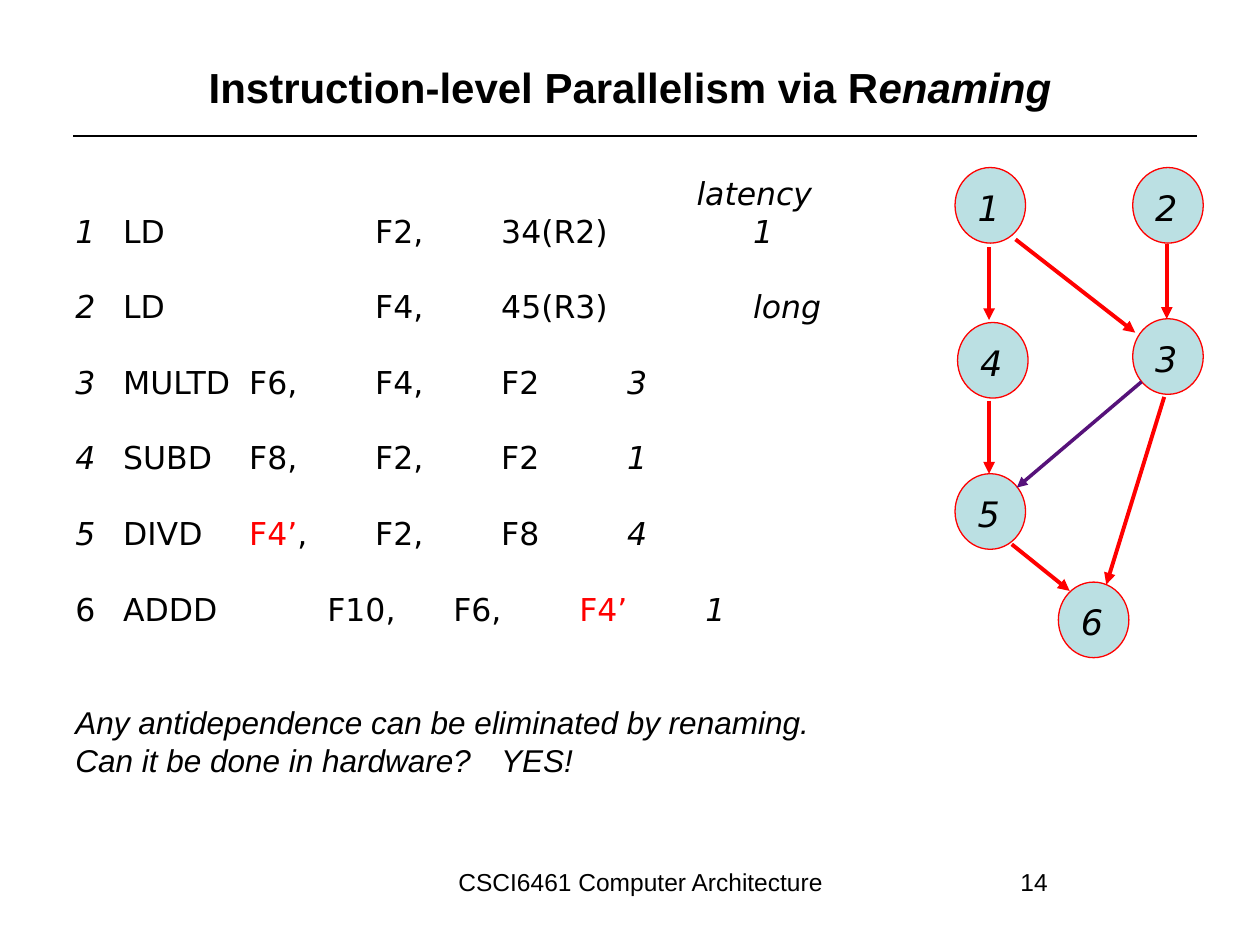
from dataclasses import dataclass
from lxml.etree import SubElement
from pptx import Presentation
from pptx.dml.color import RGBColor as Color
from pptx.enum.shapes import MSO_CONNECTOR as Connector, MSO_SHAPE as Shape
from pptx.enum.text import MSO_ANCHOR as Anchor, MSO_AUTO_SIZE as AutoSize, PP_ALIGN as Align
from pptx.oxml.ns import qn
from pptx.util import Inches, Pt


@dataclass(frozen=True)
class Theme:
    ink: str = "000000"
    red: str = "FF0000"
    violet: str = "56127A"
    node: str = "BBE0E3"
    sans: str = "Arial"
    code: str = "DejaVu Sans"
    title: int = 24
    label: int = 20
    body: int = 18
    footer: int = 14
    line: float = 21.6


class SlideBuilder:
    columns = 100

    def __init__(self, deck, theme):
        self.theme = theme
        self.unit = deck.slide_width / self.columns
        self.page = deck.slides.add_slide(deck.slide_layouts[6])

    def grid(self, *cells):
        return [round(cell * self.unit) for cell in cells]

    def box(self, area, wrap=True, anchor=Anchor.TOP):
        frame = self.page.shapes.add_textbox(*self.grid(*area)).text_frame
        frame.word_wrap = wrap
        frame.vertical_anchor = anchor
        frame.auto_size = AutoSize.NONE if wrap else AutoSize.SHAPE_TO_FIT_TEXT
        return frame

    def fill_para(self, para, spans, size, face, bold=None, italic=None, align=Align.LEFT):
        para.alignment = align
        font = para.font
        font.size, font.name, font.bold, font.italic = Pt(size), face, bold, italic
        font.color.rgb = Color.from_string(self.theme.ink)
        for text, style in spans:
            span = para.add_run()
            span.text = text
            if style == "italic":
                span.font.italic = True
            elif style == "red":
                span.font.color.rgb = Color.from_string(self.theme.red)

    def text(self, area, spans, size, face, wrap=True, anchor=Anchor.TOP, **style):
        frame = self.box(area, wrap, anchor)
        self.fill_para(frame.paragraphs[0], spans, size, face, **style)

    def listing(self, area, rows):
        frame = self.box(area)
        for index, (gap, stops, face, italic, spans) in enumerate(rows):
            para = frame.add_paragraph() if index else frame.paragraphs[0]
            para.line_spacing = Pt(self.theme.line)
            para.space_before = Pt(gap * self.theme.line)
            tabs = SubElement(para._p.get_or_add_pPr(), qn("a:tabLst"))
            for stop in self.grid(*stops):
                SubElement(tabs, qn("a:tab"), pos=str(stop), algn="l")
            self.fill_para(para, spans, self.theme.body, face, italic=italic)

    def node(self, number, left, top):
        oval = self.page.shapes.add_shape(Shape.OVAL, *self.grid(left, top, 5.6, 6))
        oval.shadow.inherit = False
        oval.fill.solid()
        oval.fill.fore_color.rgb = Color.from_string(self.theme.node)
        oval.line.color.rgb = Color.from_string(self.theme.red)
        oval.line.width = Pt(0.75)
        self.text((left + 0.8, top + 1, 3.5, 4.3), [(str(number), "")],
                  self.theme.label, self.theme.code, wrap=False, italic=True)

    def line(self, ends, color, width, arrow=False):
        link = self.page.shapes.add_connector(Connector.STRAIGHT, *self.grid(*ends))
        link.line.color.rgb = Color.from_string(color)
        link.line.width = Pt(width)
        if arrow:
            SubElement(link.line._get_or_add_ln(), qn("a:tailEnd"), type="triangle")
        SubElement(link._element.spPr, qn("a:effectLst"))


def instruction_rows(theme):
    load = (3.8, 23.8, 33.8, 53.8)
    arithmetic = (3.8, 13.8, 23.8, 33.8, 43.8)
    renamed = (3.8, 20, 30, 40, 50)
    simple = [
        ("1", load, "LD\tF2,\t34(R2)", "1"),
        ("2", load, "LD\tF4,\t45(R3)", "long"),
        ("3", arithmetic, "MULTD\tF6,\tF4,\tF2", "3"),
        ("4", arithmetic, "SUBD\tF8,\tF2,\tF2", "1"),
    ]
    rows = [(0, (49.3,), theme.code, True, [("\tlatency", "")])]
    for index, (number, stops, code, latency) in enumerate(simple):
        spans = [(number, "italic"), (f"\t{code}\t", ""), (latency, "italic")]
        rows.append((min(index, 1), stops, theme.code, None, spans))
    rows += [
        (1, arithmetic, theme.code, None,
         [("5", "italic"), ("\tDIVD\t", ""), ("F4’", "red"), (",\tF2,\tF8\t", ""), ("4", "italic")]),
        (1, renamed, theme.code, None,
         [("6\tADDD\tF10,\tF6,\t", ""), ("F4’\t", "red"), ("1", "italic")]),
        (2, (), theme.sans, True, [("Any antidependence can be eliminated by renaming.", "")]),
        (0, (33.8,), theme.sans, True, [("Can it be done in hardware?\tYES!", "")]),
    ]
    return rows


def main():
    deck = Presentation()
    deck.slide_width, deck.slide_height = Inches(10), Inches(7.5)
    theme = Theme()
    slide = SlideBuilder(deck, theme)

    slide.line((5.8, 10.8, 95, 10.8), theme.ink, 0.75)
    slide.text((22.5, 68.3, 56.7, 5.2), [("CSCI6461 Computer Architecture", "")],
               theme.footer, theme.sans, align=Align.CENTER)
    slide.text((80, 68.3, 7.5, 5.2), [("14", "")], theme.footer, theme.sans)
    slide.text((5, 3, 90, 7.8),
               [("Instruction-level Parallelism via R", ""), ("enaming", "italic")],
               theme.title, theme.sans, anchor=Anchor.MIDDLE, bold=True, align=Align.CENTER)

    nodes = [(75.8, 13.3), (89.9, 13.3), (89.9, 25.3), (76, 25.6), (75.8, 37.6), (84, 46.2)]
    for number, corner in enumerate(nodes, 1):
        slide.node(number, *corner)

    dependences = [
        (78.5, 19.6, 78.5, 25.4),
        (78.5, 31.8, 78.5, 37.6),
        (92.6, 19.4, 92.6, 25.3),
        (80.6, 19, 90.1, 26.4),
        (80.3, 43.2, 84.9, 46.9),
        (92.4, 31.5, 87.8, 46.4),
    ]
    for ends in dependences:
        slide.line(ends, theme.red, 2.25, arrow=True)
    slide.line((90.6, 30.3, 80.7, 38.7), theme.violet, 2, arrow=True)

    slide.listing((5, 13.3, 67.3, 49), instruction_rows(theme))
    deck.save("out.pptx")


if __name__ == "__main__":
    main()
